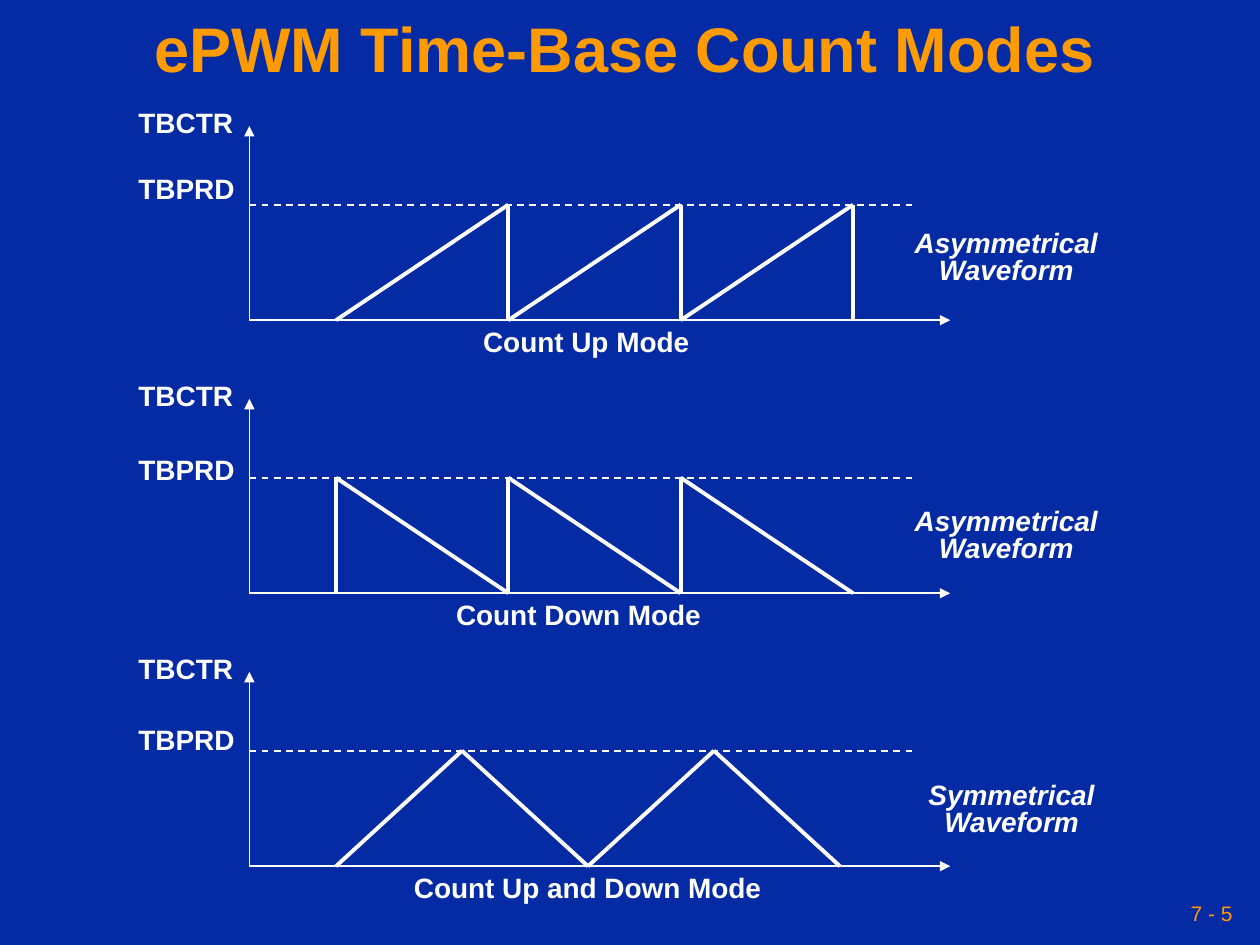
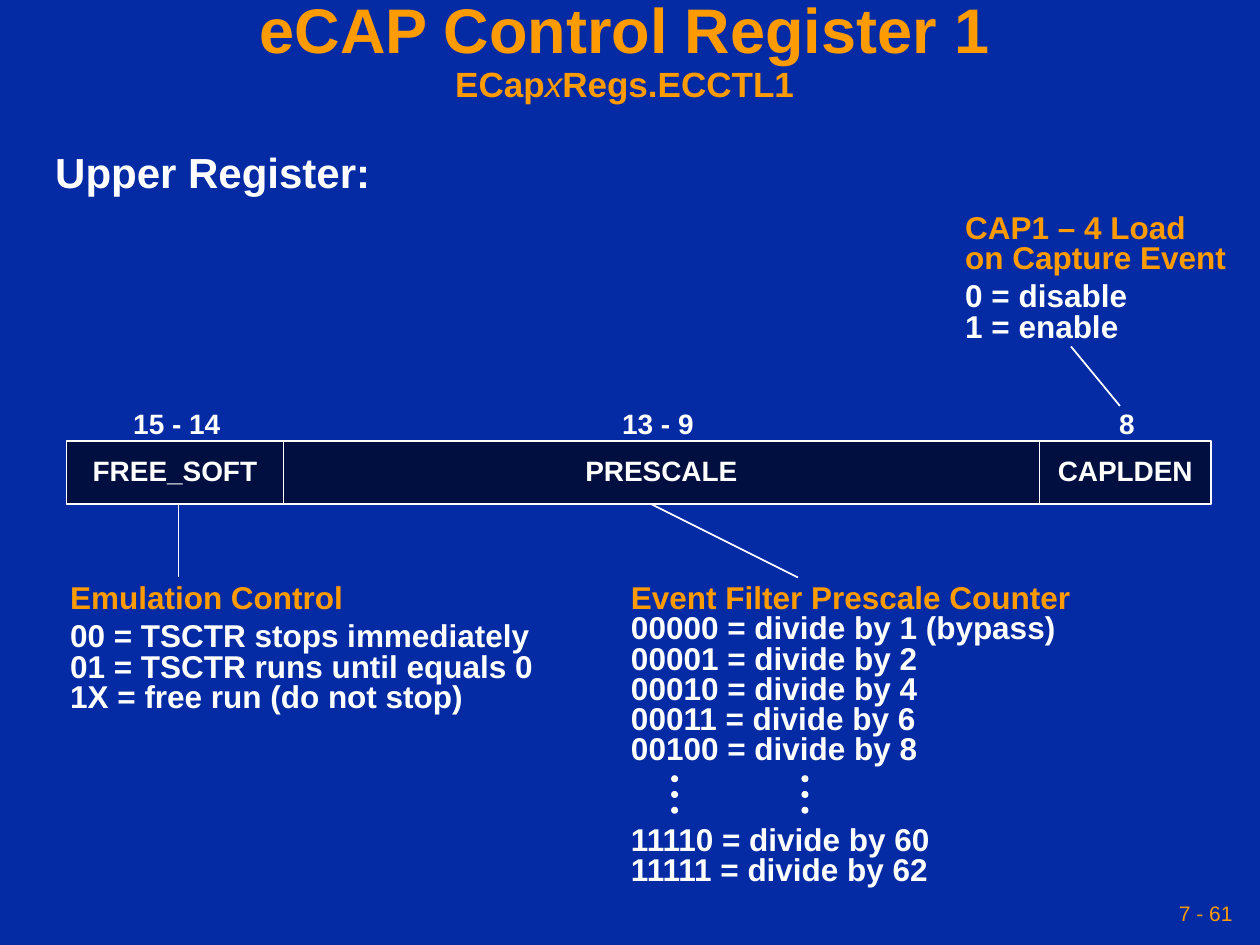
from itertools import pairwise

from lxml.etree import SubElement
from pptx import Presentation
from pptx.dml.color import RGBColor
from pptx.enum.dml import MSO_LINE_DASH_STYLE as Dash
from pptx.enum.shapes import MSO_CONNECTOR as Connector, MSO_SHAPE as Shape
from pptx.enum.text import MSO_ANCHOR as Anchor, MSO_AUTO_SIZE as AutoSize, PP_ALIGN as Align
from pptx.oxml.ns import qn
from pptx.util import Pt

BLUE, NAVY, ORANGE, WHITE = "042AA4", "000F40", "FE9B03", "FFFFFF"


def color(hex_value):
    return RGBColor.from_string(hex_value)


class Deck:
    """Holds the shared style and the slide being drawn."""

    font_name = "Arial"

    def __init__(self):
        self.prs = Presentation()
        self.prs.slide_width, self.prs.slide_height = Pt(720), Pt(540)
        background = self.prs.slide_master.background.fill
        background.solid()
        background.fore_color.rgb = color(BLUE)
        self.slide = None

    def style(self, font, size, hex_value, bold=True, italic=False):
        font.name, font.size = self.font_name, Pt(size)
        font.bold, font.italic = bold, italic
        font.color.rgb = color(hex_value)

    def frame(self, shape, inset=7.2, wrap=False, anchor=Anchor.TOP):
        frame = shape.text_frame
        frame.word_wrap, frame.auto_size = wrap, AutoSize.NONE
        frame.vertical_anchor = anchor
        frame.margin_left = frame.margin_right = Pt(inset)
        frame.margin_top = frame.margin_bottom = Pt(3.6)
        return frame

    def new_slide(self, title, number, subtitle=()):
        """Start a slide; subtitle is a list of (text, is_italic) runs."""
        self.slide = self.prs.slides.add_slide(self.prs.slide_layouts[5])
        heading = self.slide.shapes.title
        heading.left, heading.top = Pt(0), Pt(0)
        heading.width, heading.height = Pt(714), Pt(60)
        frame = self.frame(heading, 3.6, True, Anchor.MIDDLE)
        paragraph = frame.paragraphs[0]
        paragraph.alignment, paragraph.line_spacing = Align.CENTER, 0.9
        self.style(paragraph.font, 36, ORANGE)
        paragraph.add_run().text = title
        if subtitle:
            paragraph.add_line_break()
        for text, italic in subtitle:
            run = paragraph.add_run()
            run.text = text
            self.style(run.font, 20, ORANGE, not italic, italic)

        # Page number
        footer = self.slide.shapes.add_textbox(Pt(492), Pt(510), Pt(216), Pt(24))
        paragraph = self.frame(footer, 3.6, True, Anchor.MIDDLE).paragraphs[0]
        paragraph.text, paragraph.alignment = number, Align.RIGHT
        self.style(paragraph.font, 12, ORANGE, bold=False)

    def text(self, left, top, width, lines, size=16, align=Align.LEFT,
             italic=False, headings=0, heading_gap=0):
        """Stack lines; the first `headings` of them are orange."""
        height = len(lines) * size * 0.96 + heading_gap + 7.2
        box = self.slide.shapes.add_textbox(Pt(left), Pt(top), Pt(width), Pt(height))
        frame = self.frame(box)
        for index, line in enumerate(lines):
            paragraph = frame.add_paragraph() if index else frame.paragraphs[0]
            paragraph.text, paragraph.alignment = line, align
            paragraph.line_spacing = 0.8
            if index == headings - 1:
                paragraph.space_after = Pt(heading_gap)
            self.style(paragraph.font, size, ORANGE if index < headings else WHITE,
                       italic=italic)
        return frame

    def line(self, start, end, width=1.0, dashed=False, arrow=False):
        connector = self.slide.shapes.add_connector(
            Connector.STRAIGHT, *(Pt(value) for value in (*start, *end)))
        connector.line.color.rgb = color(WHITE)
        connector.line.width = Pt(width)
        if dashed:
            connector.line.dash_style = Dash.DASH
        properties = connector._element.spPr
        if arrow:
            SubElement(properties.find(qn("a:ln")), qn("a:tailEnd"), type="triangle")
        SubElement(properties, qn("a:effectLst"))

    def shape(self, kind, left, top, width, height, fill):
        shape = self.slide.shapes.add_shape(kind, Pt(left), Pt(top), Pt(width), Pt(height))
        shape.shadow.inherit = False
        shape.fill.solid()
        shape.fill.fore_color.rgb = color(fill)
        shape.line.color.rgb = color(WHITE)
        shape.line.width = Pt(1)


def count_modes(deck):
    deck.new_slide("ePWM Time-Base Count Modes", "7 - 5")
    axis_x, wave_x, period, half_period, peak = 142.5, 192, 98.5, 72, 66

    # Each wave is a list of (x, level), where level 1 is TBPRD
    teeth = list(pairwise(wave_x + period * i for i in range(4)))
    wave_end = (teeth[-1][1], 0)
    up = [point for a, b in teeth for point in ((a, 0), (b, 1), (b, 0))]
    down = [point for a, _ in teeth for point in ((a, 0), (a, 1))] + [wave_end]
    up_down = [(wave_x + half_period * i, i % 2) for i in range(5)]

    # mode, its left and width, wave, symmetry, its centre and rise, TBPRD rise
    modes = [
        ("Count Up Mode", 269, 132.5, up, "Asymmetrical", 575, 54, 85),
        ("Count Down Mode", 253.5, 154, down, "Asymmetrical", 575, 51, 80),
        ("Count Up and Down Mode", 229.5, 213, up_down, "Symmetrical", 578, 50.3, 82),
    ]
    for row, (mode, left, width, wave, symmetry, center, rise, period_rise) in enumerate(modes):
        base = 183 + 156 * row

        # Waveform, axes and period level
        for (x1, level1), (x2, level2) in pairwise(wave):
            if (x1, level1) != (x2, level2):
                deck.line((x1, base - peak * level1), (x2, base - peak * level2), 2.25)
        deck.line((axis_x, base), (543, base), arrow=True)
        deck.line((axis_x, base), (axis_x, base - 111), arrow=True)
        deck.line((axis_x, base - peak), (521, base - peak), dashed=True)

        # Labels
        deck.text(72, base - 122.5, 68.5, ["TBCTR"])
        deck.text(72, base - period_rise, 69, ["TBPRD"])
        deck.text(left, base + 2.5, width, [mode])
        deck.text(center - 60, base - rise, 120, [symmetry, "Waveform"],
                  align=Align.CENTER, italic=True)


def control_register(deck):
    deck.new_slide("eCAP Control Register 1", "7 - 61",
                   [("ECap", False), ("x", True), ("Regs.ECCTL1", False)])
    deck.text(24.5, 85.7, 194.5, ["Upper Register:"], size=24)

    # Register with its bit fields: name, bits, centre of the bits label
    top, bottom = 252, 288
    edges = [38, 162, 594, 692]
    fields = [("FREE_SOFT", "15 - 14", 101), ("PRESCALE", "13 - 9", 376),
              ("CAPLDEN", "8", 644)]
    deck.shape(Shape.RECTANGLE, edges[0], top, edges[-1] - edges[0], bottom - top, NAVY)
    for (left, right), (name, bits, center) in zip(pairwise(edges), fields):
        deck.text(left, top + 7.2, right - left, [name], align=Align.CENTER)
        deck.text(center - 40, top - 19.5, 80, [bits], align=Align.CENTER)
    for edge in edges[1:-1]:
        deck.line((edge, top), (edge, bottom))

    # Field explanations
    deck.text(33, 331, 279, ["Emulation Control", "00 = TSCTR stops immediately",
                             "01 = TSCTR runs until equals 0",
                             "1X = free run (do not stop)"],
              size=18, headings=1, heading_gap=4.5)
    deck.text(544.5, 119.5, 163.5, ["CAP1 – 4 Load", "on Capture Event",
                                    "0 = disable", "1 = enable"],
              size=18, headings=2, heading_gap=4.5)
    prescale = deck.text(353.5, 331, 266, [
        "Event Filter Prescale Counter", "00000 = divide by 1 (bypass)",
        "00001 = divide by 2", "00010 = divide by 4", "00011 = divide by 6",
        "00100 = divide by 8", "11110 = divide by 60", "11111 = divide by 62"],
        size=18, headings=1)
    prescale.paragraphs[6].space_before = Pt(34.5)

    # Leader lines
    for start, end in [((612, 198), (640, 232)), ((102, bottom), (102, 330)),
                       ((372, bottom), (456, 330))]:
        deck.line(start, end)

    # Dots for the values left out
    for x in (384, 458.5):
        for step in range(3):
            deck.shape(Shape.OVAL, x, 443.5 + 9 * step, 3, 3, WHITE)


def main():
    deck = Deck()
    count_modes(deck)
    control_register(deck)
    deck.prs.save("out.pptx")


if __name__ == "__main__":
    main()
